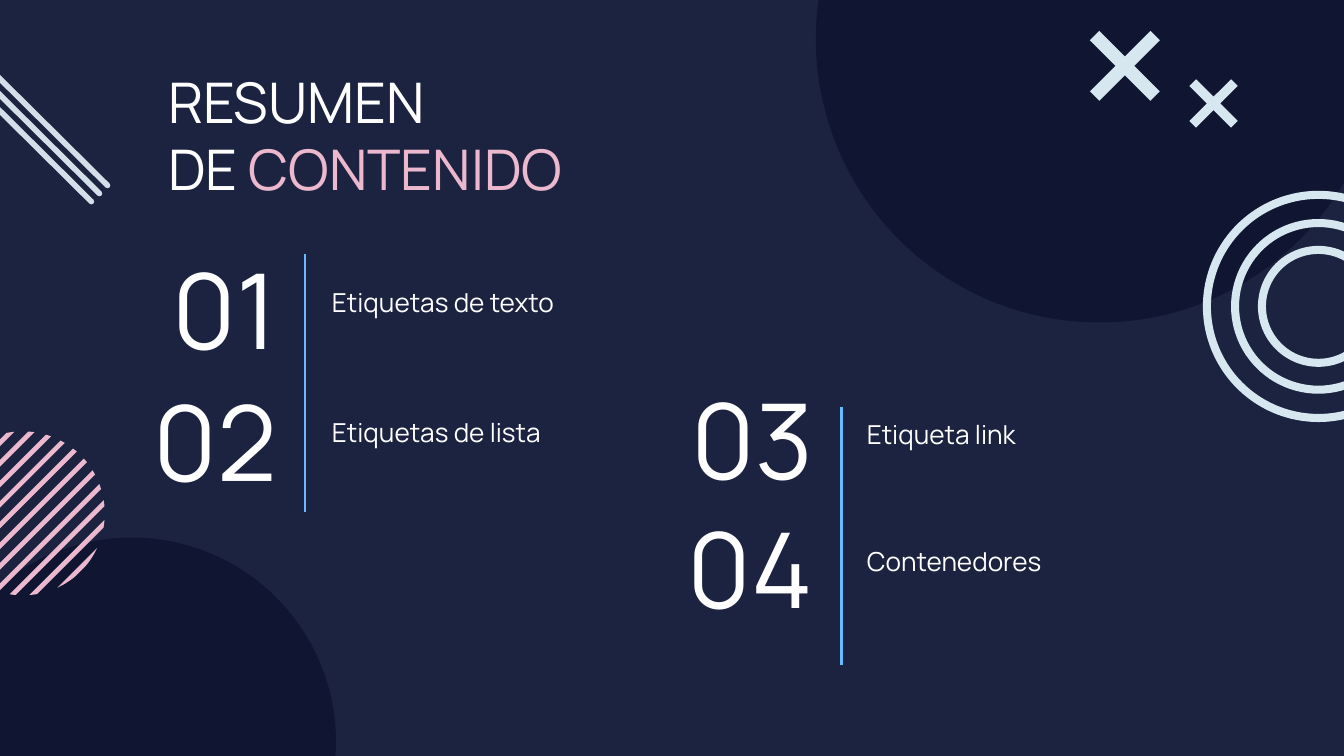
from dataclasses import dataclass
from math import acos, cos, radians, sin, sqrt

from lxml.etree import SubElement
from pptx import Presentation
from pptx.dml.color import RGBColor
from pptx.enum.shapes import MSO_CONNECTOR as Connector, MSO_SHAPE as Preset
from pptx.enum.text import MSO_ANCHOR as Anchor, MSO_AUTO_SIZE as AutoSize, PP_ALIGN as Align
from pptx.oxml.ns import qn
from pptx.util import Inches, Pt

BACKGROUND = RGBColor(0x1C, 0x23, 0x40)
NAVY = RGBColor(0x10, 0x16, 0x32)
WHITE = RGBColor(0xFF, 0xFF, 0xFF)
PINK = RGBColor(0xEC, 0xB8, 0xCE)
PALE = RGBColor(0xD7, 0xE7, 0xEF)
GREY = RGBColor(0xD2, 0xDF, 0xE9)
BLUE = RGBColor(0x67, 0xBB, 0xFF)
FONT = "Manrope"


@dataclass(frozen=True)
class Circle:
    x: float  # centre
    y: float
    radius: float


@dataclass(frozen=True)
class Entry:
    number: str
    label: str
    number_at: tuple[float, float]
    label_at: tuple[float, float]


BACKDROPS = [Circle(0.98, 5.52, 1.52), Circle(8.18, 0.29, 2.11)]
RINGS = [Circle(9.81, 2.28, radius) for radius in (0.86, 0.65, 0.45)]
RING_WIDTH = 0.06
STRIPED = Circle(0.17, 3.82, 0.61)
STRIPE_COUNT = 11
STRIPE_START, STRIPE_END = 3.27, 4.8  # x + y at the first and last stripe
ENTRIES = [
    Entry("01", "Etiquetas de texto", (0.71, 2.16), (2.37, 2.03)),
    Entry("02", "Etiquetas de lista", (0.71, 3.14), (2.37, 3.00)),
    Entry("03", "Etiqueta link", (4.70, 3.13), (6.35, 3.01)),
    Entry("04", "Contenedores", (4.70, 4.09), (6.35, 3.96)),
]


def paint(shape, color: RGBColor) -> None:
    shape.shadow.inherit = False
    shape.fill.solid()
    shape.fill.fore_color.rgb = color
    shape.line.fill.background()


def add_round(slide, preset, circle: Circle, color: RGBColor):
    size = Inches(2 * circle.radius)
    shape = slide.shapes.add_shape(preset, Inches(circle.x - circle.radius),
                                   Inches(circle.y - circle.radius), size, size)
    paint(shape, color)
    return shape


def add_polygon(slide, points: list[tuple[float, float]], color: RGBColor) -> None:
    vertices = [(Inches(x), Inches(y)) for x, y in points]
    builder = slide.shapes.build_freeform(*vertices[0])
    builder.add_line_segments(vertices[1:])
    paint(builder.convert_to_shape(), color)


def add_line(slide, start: tuple[float, float], end: tuple[float, float],
             color: RGBColor, width: float):
    line = slide.shapes.add_connector(Connector.STRAIGHT, *map(Inches, start + end))
    line.line.color.rgb = color
    line.line.width = Pt(width)
    SubElement(line._element.spPr, qn("a:effectLst"))
    return line


def add_cross(slide, x: float, y: float, half: float, arm: float) -> None:
    quarter = [(-arm, 0), (-half, arm - half), (arm - half, -half)]
    points = []
    for _ in range(4):
        points += [(x + dx, y + dy) for dx, dy in quarter]
        quarter = [(-dy, dx) for dx, dy in quarter]
    add_polygon(slide, points, PALE)


def add_stripe(slide, circle: Circle, start: float, end: float) -> None:
    """Fill the part of the circle where x + y lies between start and end."""
    reach = circle.radius * sqrt(2)
    first, last = (acos(min(1, (total - circle.x - circle.y) / reach))
                   for total in (start, end))
    spread = [first + (last - first) * step / 6 for step in range(7)]
    angles = [radians(45) + a for a in spread] + [radians(45) - a for a in reversed(spread)]
    add_polygon(slide, [(circle.x + circle.radius * cos(a),
                         circle.y + circle.radius * sin(a)) for a in angles], PINK)


def place(shape, left: float, top: float, width: float, height: float) -> None:
    shape.left, shape.top = Inches(left), Inches(top)
    shape.width, shape.height = Inches(width), Inches(height)


def set_text(shape, text: str, size: float, align=Align.LEFT, anchor=Anchor.TOP) -> None:
    frame = shape.text_frame
    frame.text = text
    frame.word_wrap = True
    frame.auto_size = AutoSize.NONE
    frame.vertical_anchor = anchor
    frame.margin_left = frame.margin_right = Inches(0.1)
    frame.margin_top = frame.margin_bottom = Inches(0.1)
    for paragraph in frame.paragraphs:
        paragraph.alignment = align
        paragraph.space_before = Pt(0)
        paragraph.font.name = FONT
        paragraph.font.size = Pt(size)
        paragraph.font.bold = False
        paragraph.font.color.rgb = WHITE


def remove_bullet(paragraph) -> None:
    properties = paragraph._p.get_or_add_pPr()
    properties.set("marL", "0")
    properties.set("indent", "0")
    bullet = properties.makeelement(qn("a:buNone"), {})
    properties.find(qn("a:defRPr")).addprevious(bullet)


def main() -> None:
    presentation = Presentation()
    presentation.slide_width = Inches(10)
    presentation.slide_height = Inches(10) * 9 // 16
    comparison_layout = presentation.slide_layouts[4]  # title and four bodies
    slide = presentation.slides.add_slide(comparison_layout)
    slide.background.fill.solid()
    slide.background.fill.fore_color.rgb = BACKGROUND

    # Large circles at the back
    for circle in BACKDROPS:
        add_round(slide, Preset.OVAL, circle, NAVY)

    # Striped circle; the last stripe ends at the rim
    pitch = (STRIPE_END - STRIPE_START) / (STRIPE_COUNT - 1)
    for index in range(STRIPE_COUNT):
        start = STRIPE_START + pitch * index
        add_stripe(slide, STRIPED, start, start + 0.05)

    # Rings
    for circle in RINGS:
        ring = add_round(slide, Preset.DONUT, circle, PALE)
        ring.adjustments[0] = RING_WIDTH / (2 * circle.radius)

    # Parallel diagonal strokes
    for index in range(3):
        shift = 0.06 * index
        stroke = add_line(slide, (-0.34 - shift, 0.25 + shift),
                          (0.8 - shift, 1.38 + shift), GREY, 3)
        stroke.line._get_or_add_ln().set("cap", "rnd")

    # Crosses
    add_cross(slide, 9.03, 0.77, 0.18, 0.05)
    add_cross(slide, 8.37, 0.49, 0.26, 0.07)

    # Title
    title = slide.shapes.title
    place(title, 1.15, 0.4, 4.05, 0.98)
    set_text(title, "RESUMEN\nDE ", 30)
    accent = title.text_frame.paragraphs[1].add_run()
    accent.text = "CONTENIDO"
    accent.font.color.rgb = PINK

    # Numbered entries
    bodies = [slide.placeholders[index] for index in range(1, 5)]
    for entry, body in zip(ENTRIES, bodies):
        number = slide.shapes.add_textbox(0, 0, 0, 0)
        place(number, *entry.number_at, 1.45, 0.26)
        set_text(number, entry.number, 56, Align.RIGHT, Anchor.MIDDLE)
        place(body, *entry.label_at, 2.57, 0.44)
        set_text(body, entry.label, 14)
        remove_bullet(body.text_frame.paragraphs[0])

    # Dividers
    for x, top in ((2.27, 1.89), (6.26, 3.03)):
        add_line(slide, (x, top), (x, top + 1.92), BLUE, 1.5)

    presentation.save("out.pptx")


if __name__ == "__main__":
    main()
